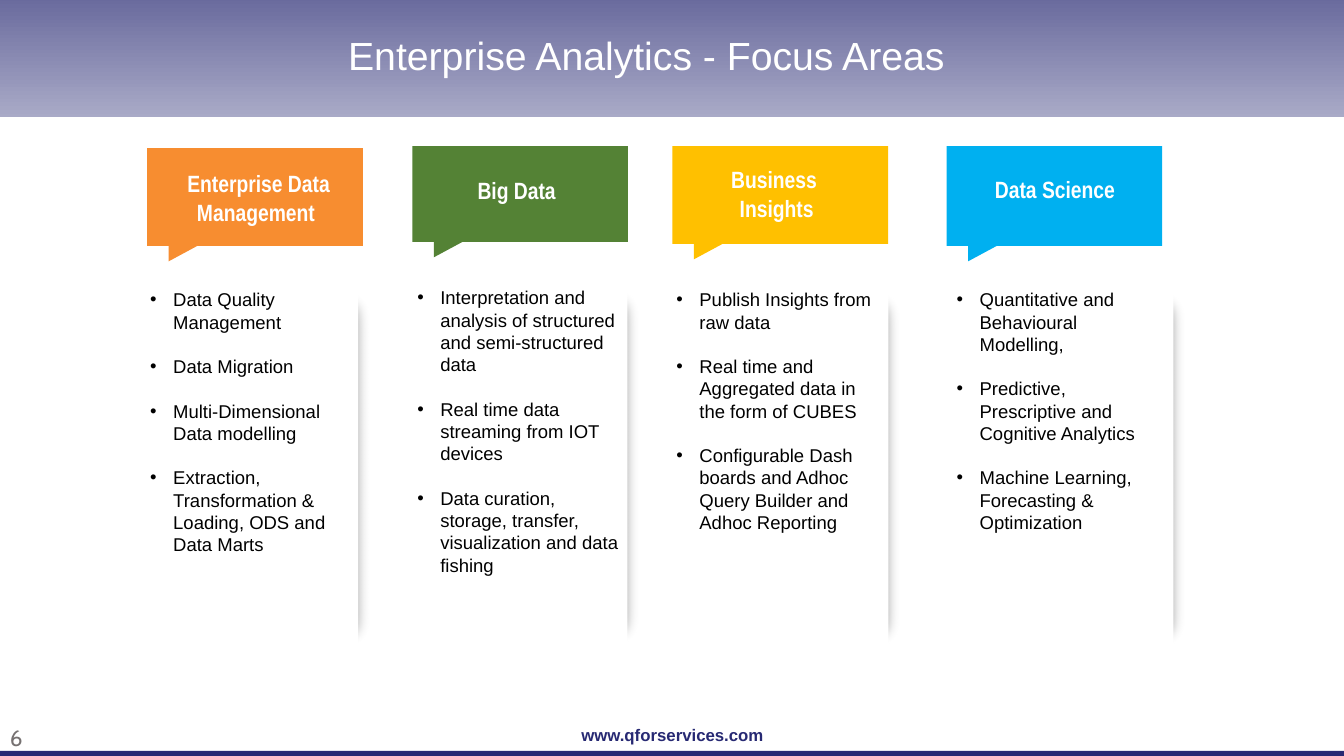
import dataclasses

import lxml.etree
import pptx
import pptx.dml.color
import pptx.enum.shapes
import pptx.enum.text
import pptx.oxml.ns
import pptx.util

SHAPE = pptx.enum.shapes.MSO_SHAPE
ALIGN = pptx.enum.text.PP_ALIGN
ANCHOR = pptx.enum.text.MSO_ANCHOR
Pt = pptx.util.Pt


@dataclasses.dataclass
class Theme:
    navy: str = "272973"
    header_top: str = "696A9D"
    header_bottom: str = "A9AAC7"
    white: str = "FFFFFF"
    black: str = "000000"
    grey: str = "767171"
    title: float = 28
    heading: float = 16.8
    body: float = 13.2
    body_line: float = 15.9
    footer: float = 12
    number: float = 16
    sans: str = "Arial"
    narrow: str = "Arial Narrow"
    number_font: str = "Cabin"


@dataclasses.dataclass
class Area:
    """One focus area; lengths are percentages of the slide."""
    colour: str
    panel: tuple
    card: tuple
    heading_at: tuple
    heading: list
    list_at: tuple
    items: list


def put(target, **values):
    for name, value in values.items():
        setattr(target, name, value)


def rgb(colour):
    return pptx.dml.color.RGBColor.from_string(colour)


def add_xml(parent, tag, **attributes):
    return lxml.etree.SubElement(parent, pptx.oxml.ns.qn(tag), attributes)


class SlideBuilder:
    def __init__(self, deck, page, theme):
        self.deck, self.page, self.theme = deck, page, theme

    def place(self, left, top, width, height):
        """Turn percentages of the slide into lengths."""
        wide, high = self.deck.slide_width, self.deck.slide_height
        return [round(share * side / 100) for share, side in
                zip((left, top, width, height), (wide, high, wide, high))]

    def block(self, at, colour, kind=SHAPE.RECTANGLE, parent=None):
        shape = (parent or self.page).shapes.add_shape(kind, *self.place(*at))
        shape.shadow.inherit = False
        shape.fill.solid()
        shape.fill.fore_color.rgb = rgb(colour)
        shape.line.fill.background()
        return shape

    def header(self, at):
        fill = self.block(at, self.theme.header_top).fill
        fill.gradient()
        fill.gradient_angle = 270
        for stop, colour in zip(fill.gradient_stops,
                                (self.theme.header_top, self.theme.header_bottom)):
            stop.color.rgb = rgb(colour)

    def panel(self, at):
        """White panel with a soft shade showing along its right side."""
        left, top, width, height = at
        shade = self.block((left + width - 5, top + 3.6, 6.5, height - 6),
                           self.theme.black)
        properties = shade._element.spPr
        colour = properties.find(".//" + pptx.oxml.ns.qn("a:srgbClr"))
        add_xml(colour, "a:alpha", val="40000")
        effects = properties.find(pptx.oxml.ns.qn("a:effectLst"))
        add_xml(effects, "a:softEdge", rad=str(Pt(12)))
        self.block(at, self.theme.white)

    def callout(self, at, colour):
        left, top, width, height = at
        group = self.page.shapes.add_group_shape()
        self.block(at, colour, parent=group)
        tail = self.block((left + 1.6, top + height - 0.25, 2.4, 2.3), colour,
                          SHAPE.RIGHT_TRIANGLE, group)
        tail._element.spPr.xfrm.set("flipV", "1")

    def fill_text(self, box, lines, font, colour, bullet=False, **layout):
        frame = box.text_frame
        put(frame, word_wrap=True, auto_size=pptx.enum.text.MSO_AUTO_SIZE.NONE)
        for index, line in enumerate(lines):
            para = frame.add_paragraph() if index else frame.paragraphs[0]
            if bullet:
                indent = self.place(1.71, 0, 0, 0)[0]
                properties = para._p.get_or_add_pPr()
                properties.set("marL", str(indent))
                properties.set("indent", str(-indent))
                add_xml(properties, "a:buFont", typeface=self.theme.sans)
                add_xml(properties, "a:buChar", char="•")
                para.space_before = Pt(self.theme.body_line if index else 0)
            put(para, **layout)
            span = para.add_run()
            span.text = line
            put(span.font, **font)
            span.font.color.rgb = rgb(colour)

    def text(self, at, lines, font, colour, **layout):
        box = self.page.shapes.add_textbox(*self.place(*at))
        self.fill_text(box, lines, font, colour, **layout)

    def placeholder(self, box, at, lines, font, colour, anchor, **layout):
        """Move a template placeholder to the front and fill it."""
        left, top, width, height = self.place(*at)
        put(box, left=left, top=top, width=width, height=height)
        box.text_frame.vertical_anchor = anchor
        self.page.shapes._spTree.append(box._element)
        self.fill_text(box, lines, font, colour, **layout)


AREAS = [
    Area("F78D30", (10.65, 33.73, 16, 55.33), (10.95, 19.6, 16.05, 12.93),
         (10.65, 21.73, 17.18, 8.93), ["Enterprise Data Management "],
         (10.43, 37.47, 16.88, 42.8),
         ["Data Quality Management", "Data Migration",
          "Multi-Dimensional Data modelling",
          "Extraction, Transformation & Loading, ODS and Data Marts"]),
    Area("548235", (30.68, 33.47, 16, 55.33), (30.68, 19.33, 16.05, 12.67),
         (29.85, 22.67, 17.18, 5.07), ["Big Data"],
         (30.3, 37.2, 16.88, 42.8),
         ["Interpretation and analysis of structured and semi-structured data",
          "Real time data streaming from IOT devices",
          "Data curation, storage, transfer, visualization and data fishing"]),
    Area("FFC000", (50.1, 33.73, 16, 55.33), (50.03, 19.33, 16.05, 12.93),
         (49.2, 21.2, 17.18, 8.93), ["Business ", "Insights"],
         (49.58, 37.47, 16.88, 39.87),
         ["Publish Insights from raw data",
          "Real time and Aggregated data in the form of CUBES",
          "Configurable Dash boards and Adhoc Query Builder and Adhoc Reporting"]),
    Area("00B0F0", (70.43, 33.73, 16.88, 55.33), (70.43, 19.33, 16.05, 13.2),
         (69.9, 22.53, 17.18, 5.07), ["Data Science"],
         (70.43, 37.47, 16.88, 33.87),
         ["Quantitative and Behavioural Modelling,",
          "Predictive, Prescriptive and Cognitive Analytics",
          "Machine Learning, Forecasting & Optimization"]),
]


def main():
    deck = pptx.Presentation()
    put(deck, slide_width=pptx.util.Inches(13.33), slide_height=pptx.util.Inches(7.5))
    page = deck.slides.add_slide(deck.slide_layouts.get_by_name("Comparison"))
    theme = Theme()
    builder = SlideBuilder(deck, page, theme)
    title, *bodies = list(page.placeholders)

    builder.header((0, -0.4, 100, 15.95))
    builder.block((0, 99.33, 100, 0.67), theme.navy)
    builder.text((37.96, 95.2, 24.16, 4), ["www.qforservices.com"],
                 dict(name=theme.sans, size=Pt(theme.footer), bold=True),
                 theme.navy, alignment=ALIGN.CENTER)
    builder.text((0, 95.07, 7.43, 4.93), ["6"],
                 dict(name=theme.number_font, size=Pt(theme.number)), theme.grey)
    builder.placeholder(title, (7.58, 3.2, 81.02, 8.93),
                        ["Enterprise Analytics - Focus Areas"],
                        dict(name=theme.sans, size=Pt(theme.title)), theme.white,
                        ANCHOR.MIDDLE, alignment=ALIGN.CENTER, line_spacing=0.9)

    heading_font = dict(name=theme.narrow, size=Pt(theme.heading), bold=True)
    body_font = dict(name=theme.sans, size=Pt(theme.body), bold=False)
    for area, body in zip(AREAS, bodies):
        builder.panel(area.panel)
        builder.callout(area.card, area.colour)
        builder.text(area.heading_at, area.heading, heading_font, theme.white,
                     alignment=ALIGN.CENTER)
        builder.placeholder(body, area.list_at, area.items, body_font, theme.black,
                            ANCHOR.TOP, bullet=True, line_spacing=Pt(theme.body_line))
    deck.save("out.pptx")


if __name__ == "__main__":
    main()
